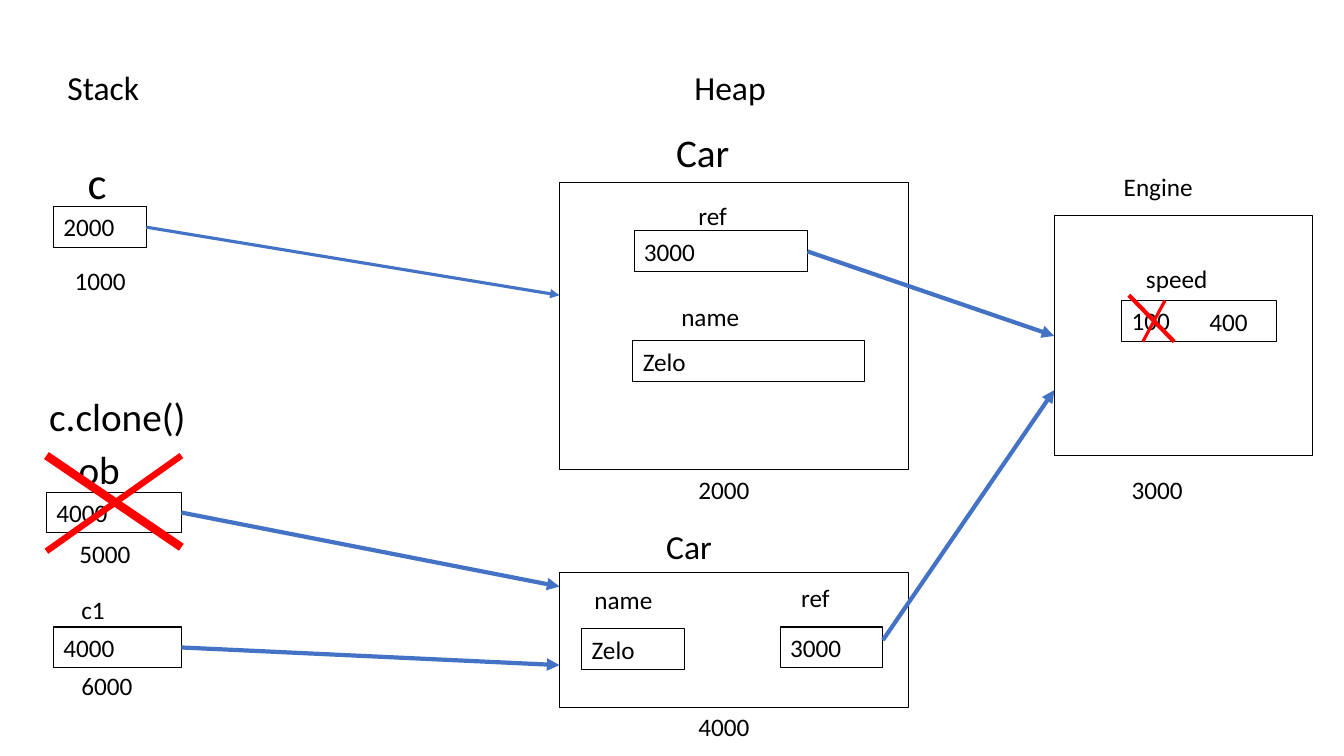
from dataclasses import dataclass, field

from lxml.etree import SubElement
from pptx import Presentation
from pptx.dml.color import RGBColor
from pptx.enum.shapes import MSO_CONNECTOR, MSO_SHAPE
from pptx.enum.text import MSO_ANCHOR, PP_ALIGN
from pptx.oxml.ns import qn
from pptx.util import Cm, Pt

RIGHT_SIDE, LEFT_SIDE = 3, 1


@dataclass(frozen=True)
class Theme:
    font: str = "Calibri"
    ink: RGBColor = RGBColor(0x00, 0x00, 0x00)
    arrow: RGBColor = RGBColor(0x44, 0x72, 0xC4)
    strike: RGBColor = RGBColor(0xFF, 0x00, 0x00)
    outline: float = 0.75
    body: int = 18
    heading: int = 24
    title: int = 28
    variable: int = 32
    # Height in cm of a one-line box for each type size
    heights: dict = field(default_factory=lambda: {18: 1.03, 24: 1.28, 28: 1.45, 32: 1.62})


def write_text(shape, text, *, font, size, color):
    frame = shape.text_frame
    frame.word_wrap = True
    frame.vertical_anchor = MSO_ANCHOR.TOP
    paragraph = frame.paragraphs[0]
    paragraph.alignment = PP_ALIGN.LEFT
    run = paragraph.add_run()
    run.text = text
    run.font.name = font
    run.font.size = Pt(size)
    run.font.color.rgb = color


class MemoryDiagram:
    def __init__(self, slide, theme):
        self.slide = slide
        self.theme = theme

    def label(self, text, left, top, width, size=None):
        size = size or self.theme.body
        shape = self.slide.shapes.add_textbox(
            Cm(left), Cm(top), Cm(width), Cm(self.theme.heights[size]))
        write_text(shape, text, font=self.theme.font, size=size, color=self.theme.ink)

    def box(self, left, top, width, height):
        shape = self.slide.shapes.add_shape(
            MSO_SHAPE.RECTANGLE, Cm(left), Cm(top), Cm(width), Cm(height))
        shape.shadow.inherit = False
        shape.fill.background()
        shape.line.color.rgb = self.theme.ink
        shape.line.width = Pt(self.theme.outline)
        return shape

    def cell(self, text, left, top, width):
        shape = self.box(left, top, width, self.theme.heights[self.theme.body])
        write_text(shape, text, font=self.theme.font, size=self.theme.body,
                   color=self.theme.ink)
        return shape

    def line(self, start, end, color, weight):
        connector = self.slide.shapes.add_connector(
            MSO_CONNECTOR.STRAIGHT, *(Cm(value) for value in (*start, *end)))
        connector.line.color.rgb = color
        connector.line.width = Pt(weight)
        SubElement(connector._element.spPr, qn("a:effectLst"))
        return connector

    def arrow(self, start, end, weight=3.0, source=None, target=None):
        connector = self.line(start, end, self.theme.arrow, weight)
        SubElement(connector.line._get_or_add_ln(), qn("a:tailEnd"), type="triangle")
        if source is not None:
            connector.begin_connect(source, RIGHT_SIDE)
        if target is not None:
            connector.end_connect(target, LEFT_SIDE)

    def strike(self, start, end, weight):
        self.line(start, end, self.theme.strike, weight)


def main():
    presentation = Presentation()
    presentation.slide_width, presentation.slide_height = Cm(33.87), Cm(19.05)
    slide = presentation.slides.add_slide(presentation.slide_layouts[6])
    theme = Theme()
    diagram = MemoryDiagram(slide, theme)

    # Objects on the heap
    diagram.box(14.1, 4.6, 8.79, 7.24)
    diagram.box(14.1, 14.43, 8.79, 3.4)
    engine = diagram.box(26.57, 5.44, 6.5, 6.05)

    # Fields of the heap objects
    car_ref = diagram.cell("3000", 15.98, 5.82, 4.37)
    diagram.cell("Zelo", 15.95, 8.59, 5.84)
    diagram.cell("3000", 19.66, 15.8, 2.59)
    diagram.cell("Zelo", 14.66, 15.85, 2.59)
    diagram.cell("100", 28.27, 7.57, 3.91)

    # Variables on the stack
    variable_c = diagram.cell("2000", 1.35, 5.21, 2.34)
    variable_ob = diagram.cell("4000", 1.17, 12.4, 3.4)
    variable_c1 = diagram.cell("4000", 1.35, 15.8, 3.22)

    # Headings, names and addresses: text, left, top, width, size
    for text, left, top, width, size in (
        ("Stack", 1.45, 1.55, 4.27, theme.heading),
        ("Heap", 17.25, 1.55, 6.99, theme.heading),
        ("c", 1.96, 3.78, 2.11, theme.variable),
        ("1000", 1.63, 6.55, 2.06, theme.body),
        ("c.clone()", 0.99, 9.75, 4.01, theme.title),
        ("ob", 1.73, 11.1, 2.11, theme.title),
        ("5000", 1.75, 13.44, 2.11, theme.body),
        ("c1", 1.8, 14.86, 2.11, theme.body),
        ("6000", 1.8, 16.76, 2.11, theme.body),
        ("Car", 16.79, 3.12, 3.94, theme.title),
        ("ref", 17.35, 4.93, 2.31, theme.body),
        ("name", 16.92, 7.47, 2.72, theme.body),
        ("2000", 17.35, 11.84, 3.0, theme.body),
        ("Car", 16.54, 13.13, 3.1, theme.heading),
        ("name", 14.73, 14.61, 2.54, theme.body),
        ("ref", 19.94, 14.55, 2.29, theme.body),
        ("4000", 17.35, 17.81, 3.1, theme.body),
        ("Engine", 28.07, 4.19, 2.84, theme.body),
        ("speed", 28.63, 6.5, 2.36, theme.body),
        ("400", 30.23, 7.59, 1.75, theme.body),
        ("3000", 28.27, 11.84, 3.48, theme.body),
    ):
        diagram.label(text, left, top, width, size)

    # References
    diagram.arrow((3.69, 5.73), (14.1, 7.44), weight=2.25, source=variable_c)
    diagram.arrow((20.35, 6.34), (26.57, 8.47), source=car_ref, target=engine)
    diagram.arrow((22.25, 16.13), (26.57, 9.83))
    diagram.arrow((4.57, 12.92), (14.1, 14.78), source=variable_ob)
    diagram.arrow((4.57, 16.32), (14.1, 16.76), source=variable_c1)

    # Crossed-out variable and old speed
    diagram.strike((1.17, 11.48), (4.57, 13.79), 6)
    diagram.strike((4.57, 11.48), (1.17, 13.89), 4.5)
    diagram.strike((28.45, 7.44), (29.59, 8.61), 3)
    diagram.strike((29.36, 7.57), (28.8, 8.61), 2.25)

    presentation.save("out.pptx")


if __name__ == "__main__":
    main()
